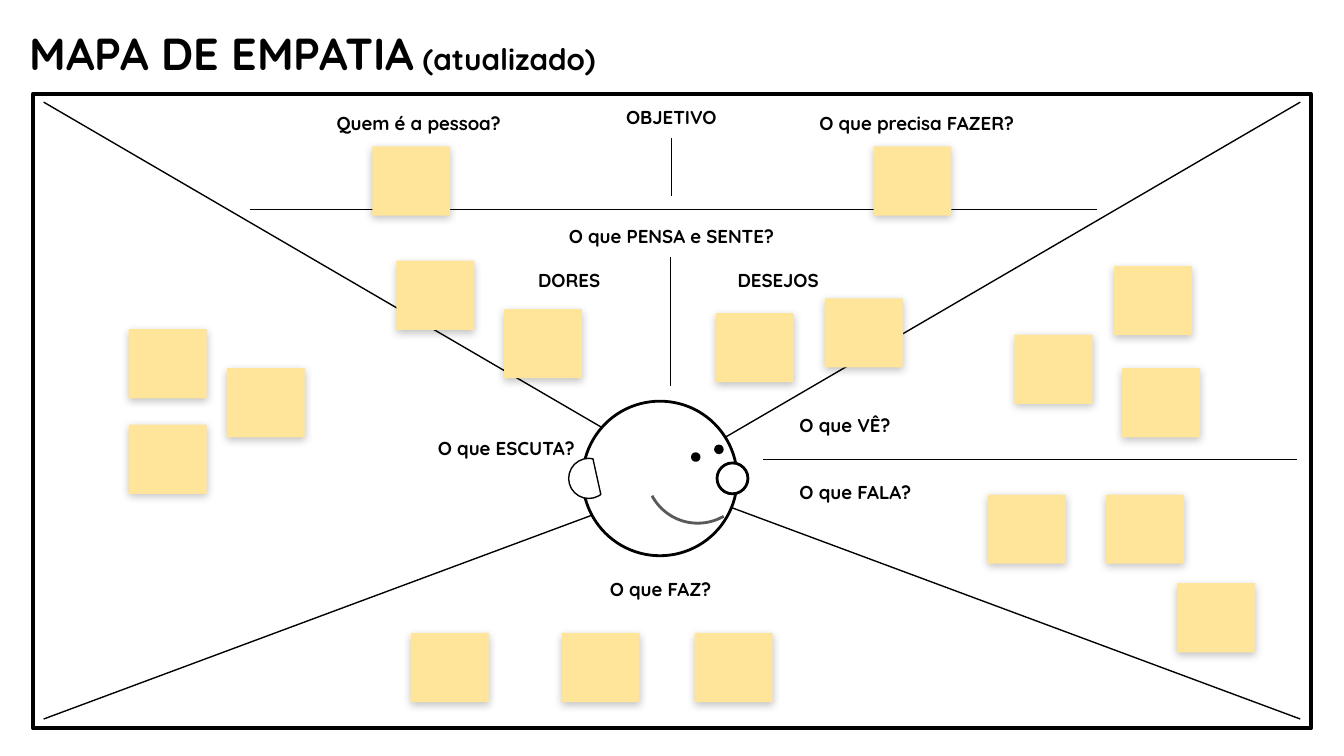
from lxml.etree import SubElement
from pptx import Presentation
from pptx.dml.color import RGBColor
from pptx.enum.shapes import MSO_CONNECTOR, MSO_SHAPE
from pptx.enum.text import MSO_ANCHOR, MSO_AUTO_SIZE, PP_ALIGN
from pptx.oxml.ns import qn
from pptx.util import Inches, Pt

FONT = "Quicksand"
INK, PAPER, NOTE, SMILE = "000000", "FFFFFF", "FFE599", "595959"
COLS, ROWS = 100, 56.25
NOTE_W, NOTE_H = 5.8, 5.15
LABEL_H = 3.6
LEFT, MID = PP_ALIGN.LEFT, PP_ALIGN.CENTER


def unit(n):
    return Inches(n / 10)


def tint(code):
    return RGBColor.from_string(code)


def style(par, align):
    par.alignment = align
    par.font.name = FONT
    par.font.bold = True
    par.font.color.rgb = tint(INK)


def shape(slide, kind, box, fill=None, line=None, width=0.75, angles=()):
    item = slide.shapes.add_shape(kind, *map(unit, box))
    item.shadow.inherit = False
    if fill:
        item.fill.solid()
        item.fill.fore_color.rgb = tint(fill)
    else:
        item.fill.background()
    if line:
        item.line.color.rgb = tint(line)
        item.line.width = Pt(width)
    else:
        item.line.fill.background()
    for i, angle in enumerate(angles):
        item.adjustments[i] = angle * 0.6
    return item


def rule(slide, x1, y1, x2, y2):
    item = slide.shapes.add_connector(
        MSO_CONNECTOR.STRAIGHT, unit(x1), unit(y1), unit(x2), unit(y2))
    item.line.color.rgb = tint(INK)
    item.line.width = Pt(0.75)
    SubElement(item._element.spPr, qn("a:effectLst"))


def label(slide, text, x, y, wide, align):
    item = slide.shapes.add_textbox(unit(x), unit(y), unit(wide), unit(LABEL_H))
    frame = item.text_frame
    frame.word_wrap = True
    frame.margin_top = frame.margin_bottom = unit(1)
    par = frame.paragraphs[0]
    par.text = text
    style(par, align)
    par.line_spacing = 1.15
    par.font.size = Pt(10)


def note(slide, x, y):
    item = shape(slide, MSO_SHAPE.RECTANGLE, (x, y, NOTE_W, NOTE_H), NOTE)
    effects = item._element.spPr.find(qn("a:effectLst"))
    shade = SubElement(effects, qn("a:outerShdw"), blurRad=str(Pt(4.5)),
                       dist=str(Pt(1.5)), dir="5400000", algn="bl", rotWithShape="0")
    color = SubElement(shade, qn("a:srgbClr"), val=INK)
    SubElement(color, qn("a:alpha"), val="24000")


def title(slide, box):
    item = slide.shapes.title
    item.left, item.top, item.width, item.height = map(unit, box)
    frame = item.text_frame
    frame.auto_size = MSO_AUTO_SIZE.NONE
    frame.word_wrap = True
    frame.vertical_anchor = MSO_ANCHOR.MIDDLE
    frame.margin_left = frame.margin_right = unit(0.4)
    frame.margin_top = frame.margin_bottom = unit(0.4)
    par = frame.paragraphs[0]
    style(par, LEFT)
    for text, size in (("MAPA DE EMPATIA", 24), (" (atualizado)", 16)):
        run = par.add_run()
        run.text = text
        run.font.size = Pt(size)


def board(slide, box):
    x, y, w, h = box
    shape(slide, MSO_SHAPE.RECTANGLE, box, None, INK, 2.25)
    mid = x + w / 2
    for side in (-1, 1):
        edge = mid + side * (w / 2 - 0.8)
        rule(slide, mid - side * 0.6, y + 28.2, edge, y + 0.6)
        rule(slide, mid - side * 0.6, y + 28.9, edge, y + h - 0.7)


def head(slide, box):
    x, y, w, h = box
    oval = MSO_SHAPE.OVAL
    shape(slide, oval, box, PAPER, INK, 1.5)
    shape(slide, oval, (x + 0.87 * w, y + 0.4 * h, 0.2 * w, 0.2 * h), PAPER, INK, 1.5)
    for dx, dy in ((0.86, 0.29), (0.71, 0.34)):
        shape(slide, oval, (x + dx * w, y + dy * h, 0.5, 0.5), INK, INK, 1.5)
    shape(slide, MSO_SHAPE.ARC, (x + 0.41 * w, y + 0.12 * h, 0.67 * w, 0.67 * h),
          None, SMILE, 1.5, (60, 152))
    shape(slide, MSO_SHAPE.CHORD, (x - 0.09 * w, y + 0.37 * h, 0.26 * w, 0.26 * h),
          PAPER, INK, 0.75, (53, 282))


def zone(slide, spot, labels, notes, rules=()):
    x, y = spot
    for x1, y1, x2, y2 in rules:
        rule(slide, x + x1, y + y1, x + x2, y + y2)
    for text, dx, dy, wide, align in labels:
        label(slide, text, x + dx, y + dy, wide, align)
    for dx, dy in notes:
        note(slide, x + dx, y + dy)


ZONES = (
    ((18, 6.7),
     (("Quem é a pessoa?", 0, 0.4, 26.3, MID),
      ("OBJETIVO", 25.4, 0, 13.1, MID),
      ("O que precisa FAZER?", 35.3, 0.4, 29.8, MID)),
     ((9.7, 4.2), (47, 4.2)),
     ((0.6, 8.9, 63.6, 8.9), (31.95, 3.6, 31.95, 7.9))),
    ((26.3, 15.5),
     (("O que PENSA e SENTE?", 0, 0, 47.3, MID),
      ("DORES", 8.4, 3.3, 15.3, MID),
      ("DESEJOS", 22.4, 3.3, 18.4, MID)),
     ((3.2, 3.9), (11.2, 7.5), (26.95, 7.8), (35.1, 6.7)),
     ((23.6, 3.6, 23.6, 13.2),)),
    ((9, 24),
     (("O que ESCUTA?", 22.6, 7.3, 13.9, LEFT),),
     ((0.6, 0.5), (7.9, 3.4), (0.6, 7.6))),
    ((56.8, 19.5),
     (("O que VÊ?", 1.7, 10.1, 28.8, LEFT),),
     ((18.7, 5.4), (26.1, 0.3), (26.7, 7.9)),
     ((0, 14.7, 39.7, 14.7),)),
    ((56.8, 34.2),
     (("O que FALA?", 1.7, 0.4, 28.8, LEFT),),
     ((16.7, 2.6), (25.5, 2.6), (30.8, 9.2))),
    ((30.5, 41.8),
     (("O que FAZ?", 0, 0, 37.3, MID),),
     ((0.1, 5.3), (11.3, 5.3), (21.2, 5.3))),
)


def main():
    deck = Presentation()
    deck.slide_width, deck.slide_height = unit(COLS), unit(ROWS)
    slide = deck.slides.add_slide(deck.slide_layouts[5])
    title(slide, (1.8, 1.65, 83.8, 4.5))
    board(slide, (2.45, 7, 95.1, 47.2))
    head(slide, (43.35, 29.85, 11.5, 11.5))
    for part in ZONES:
        zone(slide, *part)
    deck.save("out.pptx")


if __name__ == "__main__":
    main()
